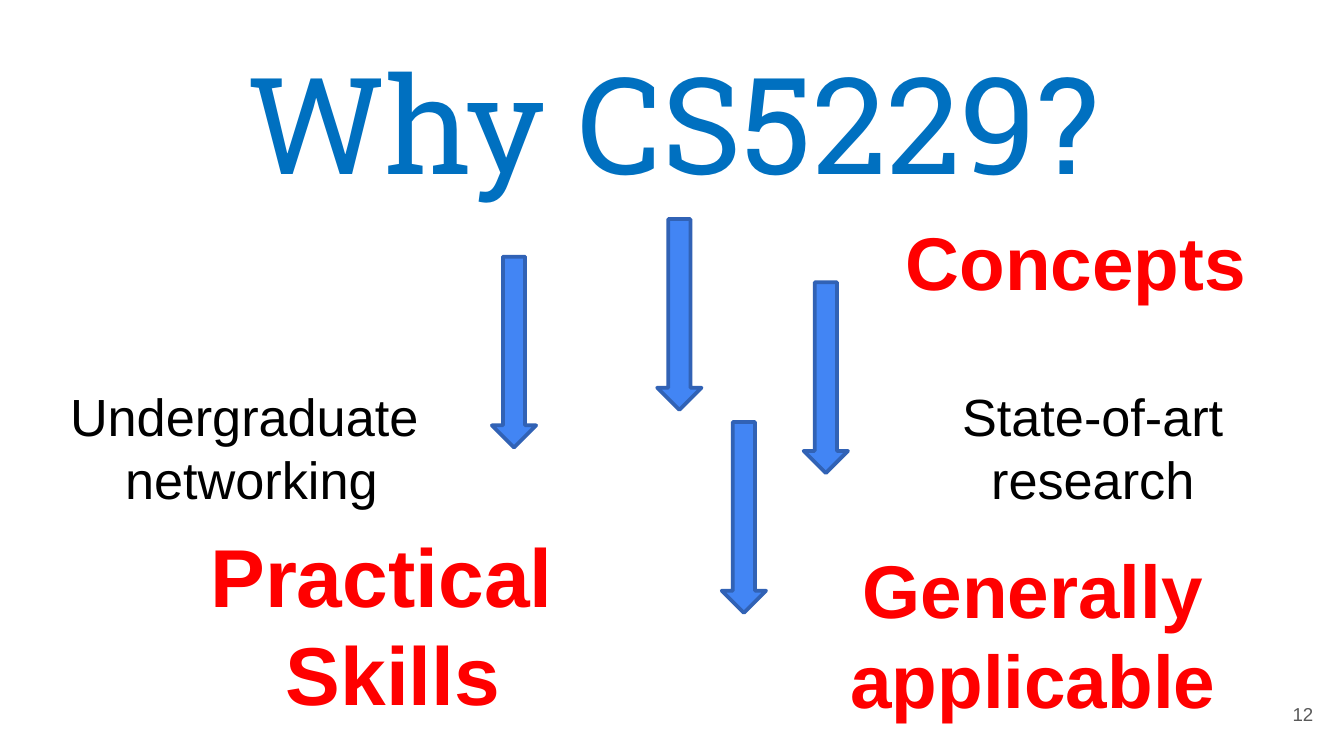
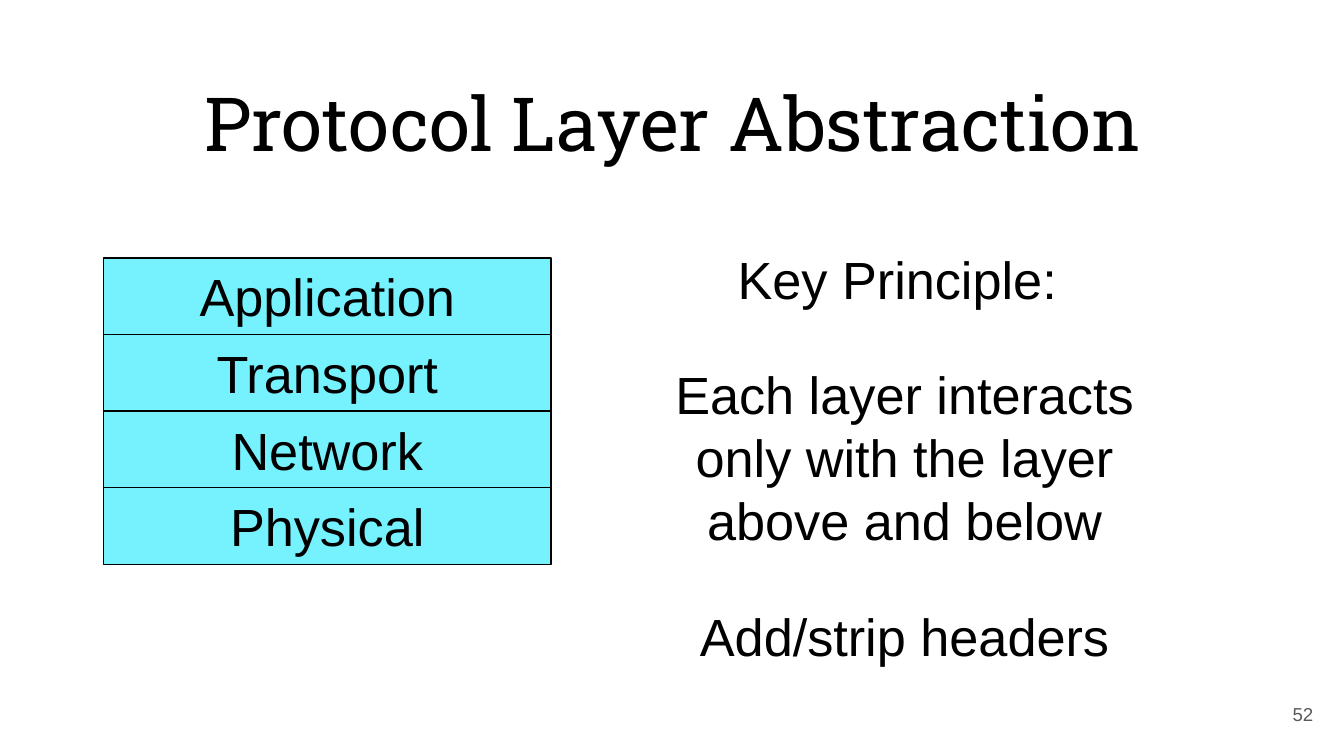
"""Build two networking lecture slides: course motivation and protocol layers."""
from pptx import Presentation
from pptx.dml.color import RGBColor
from pptx.enum.shapes import MSO_SHAPE as Shape
from pptx.enum.text import MSO_ANCHOR as Anchor, MSO_AUTO_SIZE as AutoSize, PP_ALIGN as Align
from pptx.util import Inches, Pt

COLORS = {
    "text": "000000",
    "title": "0070C0",
    "accent": "FF0000",
    "number": "595959",
    "arrow": "4285F4",
    "arrow_line": "3162B5",
    "layer": "76F2FF",
}
BODY_FONT = "Arial"
TITLE_FONT = "Roboto Slab"


def rgb(name):
    return RGBColor.from_string(COLORS[name])


def place(box, left, top, width, height):
    box.left, box.top = Inches(left), Inches(top)
    box.width, box.height = Inches(width), Inches(height)


def write(box, text, size=28, color="text", font=BODY_FONT, bold=False,
          align=Align.CENTER, anchor=Anchor.TOP, inset=0.05):
    frame = box.text_frame
    frame.word_wrap = True
    frame.auto_size = AutoSize.NONE
    frame.vertical_anchor = anchor
    frame.margin_left = frame.margin_right = Inches(0.1)
    frame.margin_top = frame.margin_bottom = Inches(inset)
    frame.text = text
    for para in frame.paragraphs:
        para.alignment = align
        for span in para.runs:
            span.font.name = font
            span.font.size = Pt(size)
            span.font.bold = bold
            span.font.color.rgb = rgb(color)


def add_text(page, text, left, top, width, height, **style):
    box = page.shapes.add_textbox(0, 0, 0, 0)
    place(box, left, top, width, height)
    write(box, text, **style)


def add_block(page, kind, left, top, width, height, fill, line, weight):
    block = page.shapes.add_shape(
        kind, Inches(left), Inches(top), Inches(width), Inches(height))
    block.shadow.inherit = False
    block.fill.solid()
    block.fill.fore_color.rgb = rgb(fill)
    block.line.color.rgb = rgb(line)
    block.line.width = Pt(weight)
    return block


def add_page(deck, title, number, top, height, **style):
    page = deck.slides.add_slide(deck.slide_layouts[5])
    place(page.shapes.title, 0.36, top, 9.29, height)
    write(page.shapes.title, title, font=TITLE_FONT, inset=0.1, **style)
    add_text(page, number, 9.27, 5.1, 0.6, 0.43, size=10, color="number",
             align=Align.RIGHT, anchor=Anchor.MIDDLE, inset=0.1)
    return page


def build_motivation(deck):
    page = add_page(deck, "Why CS5229?", "12", 0.2, 1.42, size=72, color="title")
    add_text(page, "Undergraduate \nnetworking", 0.36, 2.81, 3.02, 1.03)
    add_text(page, "State-of-art\vresearch", 6.62, 2.81, 3.02, 1.03)
    for left, top in ((3.66, 1.91), (5.98, 2.1), (4.89, 1.63), (5.37, 3.14)):
        add_block(page, Shape.DOWN_ARROW, left, top, 0.33, 1.42,
                  "arrow", "arrow_line", 2)
    for text, left, top, height, size in (
        ("Practical \vSkills", 1.22, 3.86, 1.56, 44),
        ("Concepts", 6.3, 1.56, 0.77, 40),
        ("Generally\vapplicable", 5.98, 4, 1.43, 40),
    ):
        add_text(page, text, left, top, 3.41, height,
                 size=size, color="accent", bold=True)


def build_layers(deck):
    page = add_page(deck, "Protocol Layer Abstraction", "52", 0.47, 1.08, size=40)
    for text, top, height in (
        ("Key Principle: ", 1.79, 0.57),
        ("Each layer interacts only with the layer above and below", 2.65, 1.5),
        ("Add/strip headers", 4.45, 0.57),
    ):
        add_text(page, text, 4.75, top, 3.96, height)
    bottom, pitch = 3.63, 0.57
    for level, layer in enumerate(("Physical", "Network", "Transport", "Application")):
        block = add_block(page, Shape.RECTANGLE, 0.77, bottom - level * pitch,
                          3.33, pitch, "layer", "text", 0.75)
        write(block, layer)


def main():
    deck = Presentation()
    deck.slide_width = Inches(10)
    deck.slide_height = deck.slide_width * 9 // 16
    build_motivation(deck)
    build_layers(deck)
    deck.save("out.pptx")


if __name__ == "__main__":
    main()
